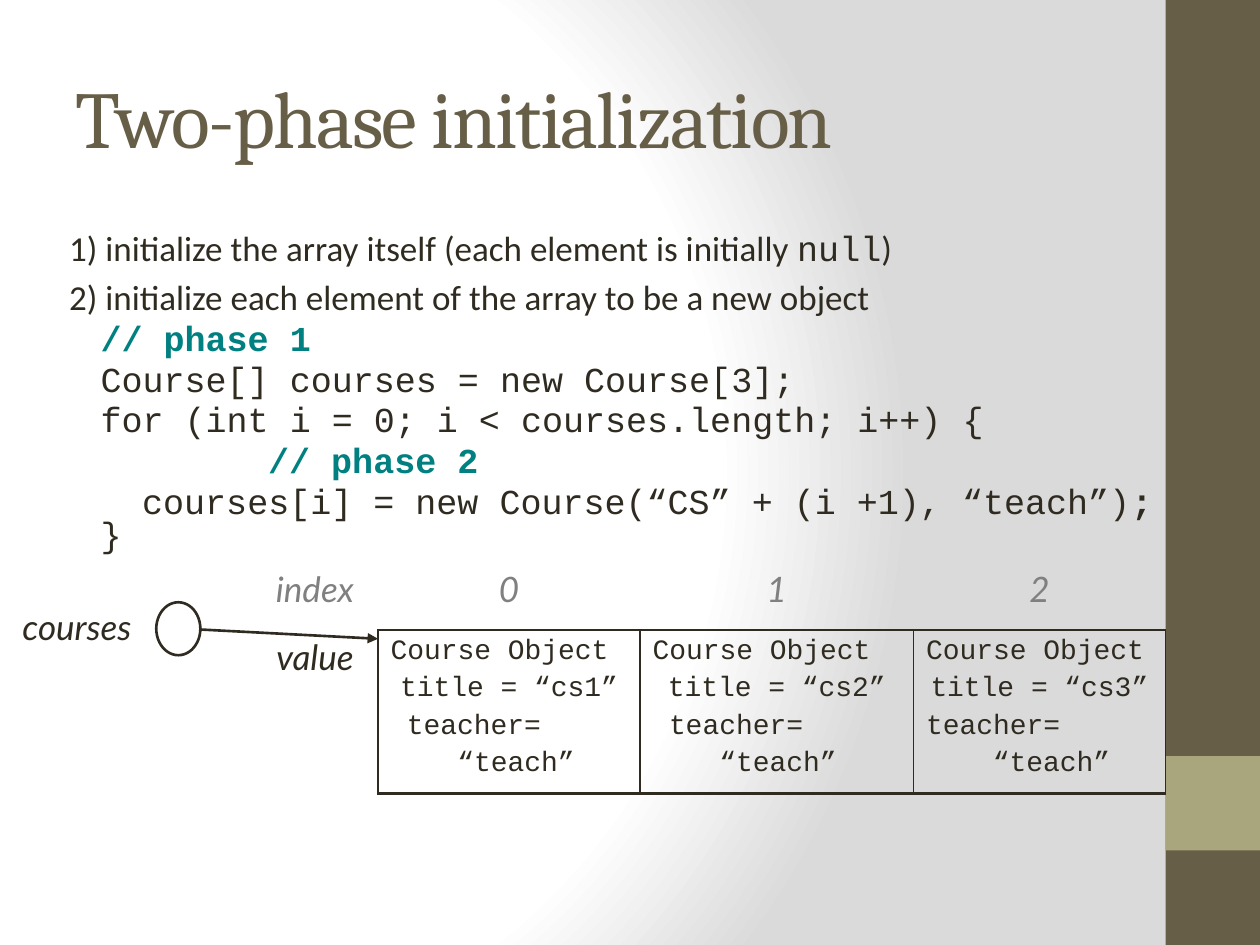
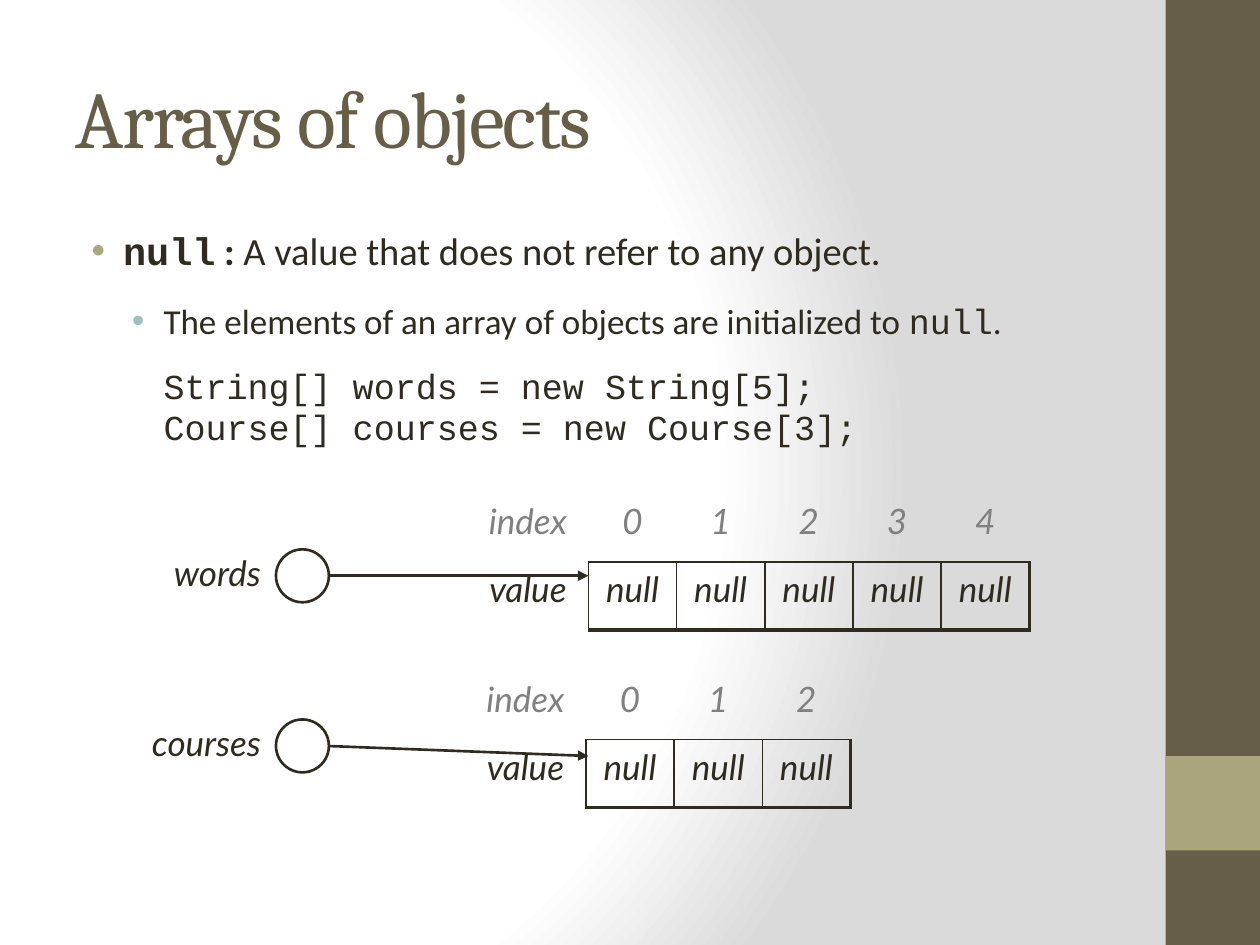
from pptx import Presentation
from pptx.dml.color import RGBColor
from pptx.enum.shapes import MSO_CONNECTOR, MSO_SHAPE
from pptx.enum.text import MSO_ANCHOR, PP_ALIGN
from pptx.oxml import parse_xml
from pptx.oxml.ns import qn
from pptx.util import Inches, Pt
from lxml.etree import SubElement

HUES = {"ink": "2F2B20", "brown": "675E47", "sand": "A9A57C", "aqua": "9CBEBD",
        "teal": "008080", "gray": "808080", "white": "FFFFFF", "edge": "DADADA"}
RGB = {name: RGBColor.from_string(code) for name, code in HUES.items()}
NS = "http://schemas.openxmlformats.org/drawingml/2006/main"
PLAIN = "{2D5ABB26-0587-4C30-8999-92F81FD0307C}"
MONO, SANS, LATO = "Courier New", "Calibri", "Lato"
LEFT, MID, RIGHT = PP_ALIGN.LEFT, PP_ALIGN.CENTER, PP_ALIGN.RIGHT


def write(par, runs, size=20, align=LEFT, gap=None, left=0, first=0, lead=None):
    """Fill a paragraph with (text, font, colour, bold, italic) runs."""
    par.alignment = align
    par.space_before = Pt(size * 0.2 if gap is None else gap)
    if lead:
        par.line_spacing = lead
    props = par._p.get_or_add_pPr()
    props.set("marL", str(Inches(left)))
    props.set("indent", str(Inches(first)))
    for text, face, hue, bold, slant in runs:
        run = par.add_run()
        run.text = text
        font = run.font
        font.name, font.size, font.bold, font.italic = face, Pt(size), bold, slant
        font.color.rgb = RGB[hue]


def edge(cell, sides):
    """Draw cell borders; sides maps L, R, T, B to a width in points."""
    props = cell._tc.get_or_add_tcPr()
    for side in "LRTB":
        line = SubElement(props, qn(f"a:ln{side}"), w=str(Pt(sides.get(side, 0))))
        if side in sides:
            fill = SubElement(line, qn("a:solidFill"))
            SubElement(fill, qn("a:srgbClr"), val=HUES["ink"])
        else:
            SubElement(line, qn("a:noFill"))
    cell.fill.background()


deck = Presentation()
deck.slide_width, deck.slide_height = Inches(10), Inches(7.5)

# Shared background
back = deck.slide_master.background.fill
back.gradient()
old = next(deck.slide_master.element.iter(qn("a:gradFill")))
stops = "".join(f'<a:gs pos="{pos}000"><a:srgbClr val="{HUES[hue]}"/></a:gs>'
                for pos, hue in [(0, "white"), (75, "white"), (100, "edge")])
old.getparent().replace(old, parse_xml(
    f'<a:gradFill xmlns:a="{NS}" rotWithShape="1"><a:gsLst>{stops}</a:gsLst>'
    '<a:path path="circle"><a:fillToRect l="20000" t="50000" r="100000" b="50000"/>'
    '</a:path></a:gradFill>'))

# Body text: runs, then layout of each paragraph
code = dict(left=0.7, lead=0.8)
step = dict(left=0.7, first=-0.25)
phase = [
    ([("1) initialize the array itself (each element is initially ", SANS, "ink", False, False),
      ("null", MONO, "ink", False, False), (")", SANS, "ink", False, False)], step),
    ([("2) initialize each element of the array to be a new object",
       SANS, "ink", False, False)], step),
    ([("// phase 1", MONO, "teal", True, False)], code),
    ([("Course[] courses = new Course[3];", MONO, "ink", False, False)], code),
    ([("for (int i = 0; i < courses.length; i++) {", MONO, "ink", False, False)], code),
    ([("// phase 2", MONO, "teal", True, False)], dict(code, left=2.03)),
    ([("courses[i] = new Course(“CS” + (i +1), “teach”)", MONO, "ink", False, False),
      ("; ", MONO, "ink", True, False), ("}", MONO, "ink", False, False)],
     dict(code, first=0.33)),
]
nulls = [
    ([("null", MONO, "ink", True, False), (" : ", SANS, "ink", True, False),
      ("A value that does not refer to any object.", SANS, "ink", False, False)],
     dict(size=22, left=0.38, first=-0.25, dot="sand")),
    ([("The elements of an array of objects are initialized to ", SANS, "ink", False, False),
      ("null", MONO, "ink", False, False), (".", SANS, "ink", False, False)],
     dict(step, gap=15, dot="aqua")),
    ([("String[] words = new String[5];", MONO, "ink", False, False)], dict(code, gap=18)),
    ([("Course[] courses = new Course[3];", MONO, "ink", False, False)], code),
]

slides = []
for title, left, width, body in [("Two-phase initialization", 0, 9.25, phase),
                                 ("Arrays of objects", 0.5, 8.33, nulls)]:
    slide = deck.slides.add_slide(deck.slide_layouts[5])
    slides.append(slide)

    # Side bands
    for top, tall, hue in [(0, 7.5, "brown"), (6, 0.75, "sand")]:
        band = slide.shapes.add_shape(MSO_SHAPE.RECTANGLE, Inches(9.25), Inches(top),
                                      Inches(0.75), Inches(tall))
        band.shadow.inherit = False
        band.fill.solid()
        band.fill.fore_color.rgb = RGB[hue]
        band.line.fill.background()

    # Title
    head = slide.shapes.title
    head.left, head.top = Inches(0.5), Inches(0.3)
    head.width, head.height = Inches(8.33), Inches(1.25)
    frame = head.text_frame
    frame.vertical_anchor = MSO_ANCHOR.MIDDLE
    write(frame.paragraphs[0], [(title, "Cambria", "brown", False, False)], 46, gap=0)
    frame.paragraphs[0].runs[0]._r.get_or_add_rPr().set("spc", "-100")

    # Body
    frame = slide.shapes.add_textbox(Inches(left), Inches(1.75), Inches(width),
                                     Inches(5.25)).text_frame
    frame.word_wrap = True
    for num, (runs, look) in enumerate(body):
        par = frame.add_paragraph() if num else frame.paragraphs[0]
        look = dict(look)
        dot = look.pop("dot", None)
        write(par, runs, **look)
        if dot:
            props = par._p.get_or_add_pPr()
            tint = SubElement(props, qn("a:buClr"))
            SubElement(tint, qn("a:srgbClr"), val=HUES[dot])
            SubElement(props, qn("a:buFont"), typeface="Arial")
            SubElement(props, qn("a:buChar"), char="•")

# Array diagrams: slide, name, label box, align, circle, arrow, table place,
# column widths, value row height, right border
plots = [
    (slides[0], "courses", (0.08, 4.76, 1.33), LEFT, (1.24, 4.78, 0.35),
     (1.47, 4.99, 3, 5.07), (2, 4.46), [1, 2.08, 2.17, 2], 1.24, 1),
    (slides[1], "words", (0.92, 4.33, 1.25), RIGHT, (2.19, 4.36, 0.42),
     (2.58, 4.57, 4.67, 4.57), (3.71, 3.92), [0.96] + [0.7] * 5, 0.54, 2.25),
    (slides[1], "courses", (0.67, 5.68, 1.5), RIGHT, (2.19, 5.71, 0.42),
     (2.58, 5.92, 4.67, 6), (3.69, 5.33), [0.96] + [0.7] * 3, 0.54, 2.25),
]
for slide, name, label, align, ring, ends, place, cols, tall, last in plots:
    shapes = slide.shapes

    # Index and value table
    rows = [0.54, tall]
    hold = shapes.add_table(2, len(cols), *map(Inches, place), Inches(sum(cols)),
                            Inches(sum(rows)))
    grid = hold.table
    grid.first_row = grid.horz_banding = False
    grid._tbl.tblPr.find(qn("a:tableStyleId")).text = PLAIN
    for row, size in zip(grid.rows, rows):
        row.height = Inches(size)
    for col, size in enumerate(cols):
        grid.columns[col].width = Inches(size)
        top, low = grid.cell(0, col), grid.cell(1, col)
        write(top.text_frame.paragraphs[0],
              [(str(col - 1) if col else "index", LATO, "gray", False, True)], align=MID)
        edge(top, {"B": 1} if col else {})
        edge(low, {"L": 1, "T": 1, "R": last if col == len(cols) - 1 else 1, "B": 2.25}
             if col else {"R": 1})
        frame = low.text_frame
        if col and slide is slides[0]:
            lines = [("Course Object", LEFT, 0), (f"title = “cs{col}”", MID, 0),
                     ("teacher=", LEFT, 0 if col == 3 else 0.13), ("“teach”", LEFT, 0.53)]
            for num, (text, side, shift) in enumerate(lines):
                par = frame.add_paragraph() if num else frame.paragraphs[0]
                write(par, [(text, MONO, "ink", False, False)], 16, side, left=shift)
        else:
            write(frame.paragraphs[0],
                  [("null" if col else "value", LATO, "ink", False, True)], align=MID)

    # Variable name
    x, y, wide = label
    frame = shapes.add_textbox(Inches(x), Inches(y), Inches(wide), Inches(0.49)).text_frame
    frame.word_wrap = True
    write(frame.paragraphs[0], [(name, LATO, "ink", False, True)], align=align)

    # Arrow to the array
    wire = shapes.add_connector(MSO_CONNECTOR.STRAIGHT, *map(Inches, ends))
    wire.line.color.rgb, wire.line.width = RGB["ink"], Pt(1.5)
    SubElement(wire.line._get_or_add_ln(), qn("a:tailEnd"), type="triangle")
    SubElement(wire._element.spPr, qn("a:effectLst"))

    # Reference circle
    x, y, wide = ring
    disc = shapes.add_shape(MSO_SHAPE.OVAL, Inches(x), Inches(y), Inches(wide), Inches(0.42))
    disc.shadow.inherit = False
    disc.fill.solid()
    disc.fill.fore_color.rgb = RGB["white"]
    disc.line.color.rgb, disc.line.width = RGB["ink"], Pt(1.5)

deck.save("out.pptx")
